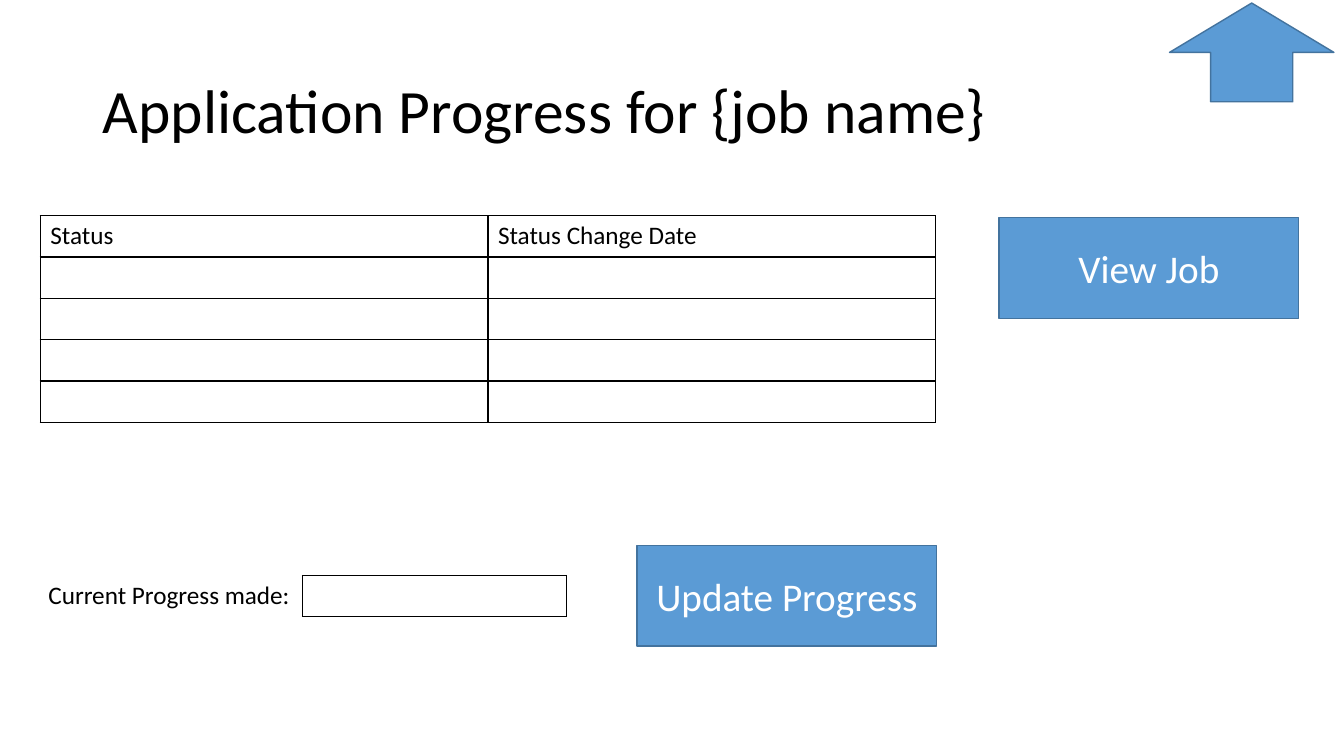
from pptx import Presentation
from pptx.dml.color import RGBColor
from pptx.enum import shapes, text
from pptx.oxml.ns import qn
from pptx.util import Inches, Pt
from lxml import etree

COLORS = {"ink": "000000", "paper": "FFFFFF", "button": "5B9BD5", "edge": "43739E"}
FONT = "Calibri"
ROW_HEIGHT = 0.41
SIDES = ("L", "R", "T", "B")

TITLE = "Application Progress for {job name}"
STATUS_ROWS = [("Status", "Status Change Date")] + [("", "")] * 4
PROGRESS_ROWS = [("Current Progress made:", "")]
TABLES = [
    (STATUS_ROWS, 0.4, 2.14, 4.44, (SIDES, SIDES)),
    (PROGRESS_ROWS, 0.38, 5.71, 2.62, (("R",), SIDES)),
]
SHAPES = [
    ("RECTANGLE", "View Job", 9.91, 2.16, 2.97, 1),
    ("RECTANGLE", "Update Progress", 6.32, 5.41, 2.97, 1),
    ("UP_ARROW", "", 11.6, 0.03, 1.63, 0.98),
]


def color(name):
    return RGBColor.from_string(COLORS[name])


def write(frame, words, size, ink):
    para = frame.paragraphs[0]
    span = para.add_run()
    span.text = words
    span.font.name = FONT
    span.font.size = Pt(size)
    span.font.color.rgb = color(ink)
    return para


def set_borders(cell, visible):
    properties = cell._tc.get_or_add_tcPr()
    for side in SIDES:
        line = etree.SubElement(properties, qn(f"a:ln{side}"), w=str(Pt(1)))
        if side in visible:
            fill = etree.SubElement(line, qn("a:solidFill"))
            etree.SubElement(fill, qn("a:srgbClr"), val=COLORS["ink"])
        else:
            etree.SubElement(line, qn("a:noFill"))


def add_grid(page, rows, left, top, column_width, borders):
    columns = len(rows[0])
    frame = page.shapes.add_table(
        len(rows), columns, Inches(left), Inches(top),
        Inches(column_width * columns), Inches(ROW_HEIGHT * len(rows)))
    grid = frame.table
    grid.first_row = False
    grid.horz_banding = False
    for column in grid.columns:
        column.width = Inches(column_width)
    for row, words in zip(grid.rows, rows):
        row.height = Inches(ROW_HEIGHT)
        for cell, label, visible in zip(row.cells, words, borders):
            set_borders(cell, visible)
            cell.fill.background()
            if label:
                write(cell.text_frame, label, 18, "ink")


def add_button(page, kind, label, *place):
    button = page.shapes.add_shape(
        getattr(shapes.MSO_SHAPE, kind), *map(Inches, place))
    button.shadow.inherit = False
    button.fill.solid()
    button.fill.fore_color.rgb = color("button")
    button.line.color.rgb = color("edge")
    button.line.width = Pt(1)
    if label:
        button.text_frame.vertical_anchor = text.MSO_ANCHOR.MIDDLE
        para = write(button.text_frame, label, 28, "paper")
        para.alignment = text.PP_ALIGN.CENTER


def main():
    deck = Presentation()
    deck.slide_width, deck.slide_height = Inches(13.33), Inches(7.5)
    page = deck.slides.add_slide(deck.slide_layouts[5])
    page.background.fill.solid()
    page.background.fill.fore_color.rgb = color("paper")

    title = page.shapes.title
    title.left, title.top = Inches(0.92), Inches(0.4)
    title.width, title.height = Inches(11.5), Inches(1.45)
    title.text_frame.vertical_anchor = text.MSO_ANCHOR.MIDDLE
    heading = write(title.text_frame, TITLE, 44, "ink")
    heading.alignment = text.PP_ALIGN.LEFT
    heading.line_spacing = 0.9

    for table in TABLES:
        add_grid(page, *table)
    for shape in SHAPES:
        add_button(page, *shape)
    deck.save("out.pptx")


if __name__ == "__main__":
    main()
